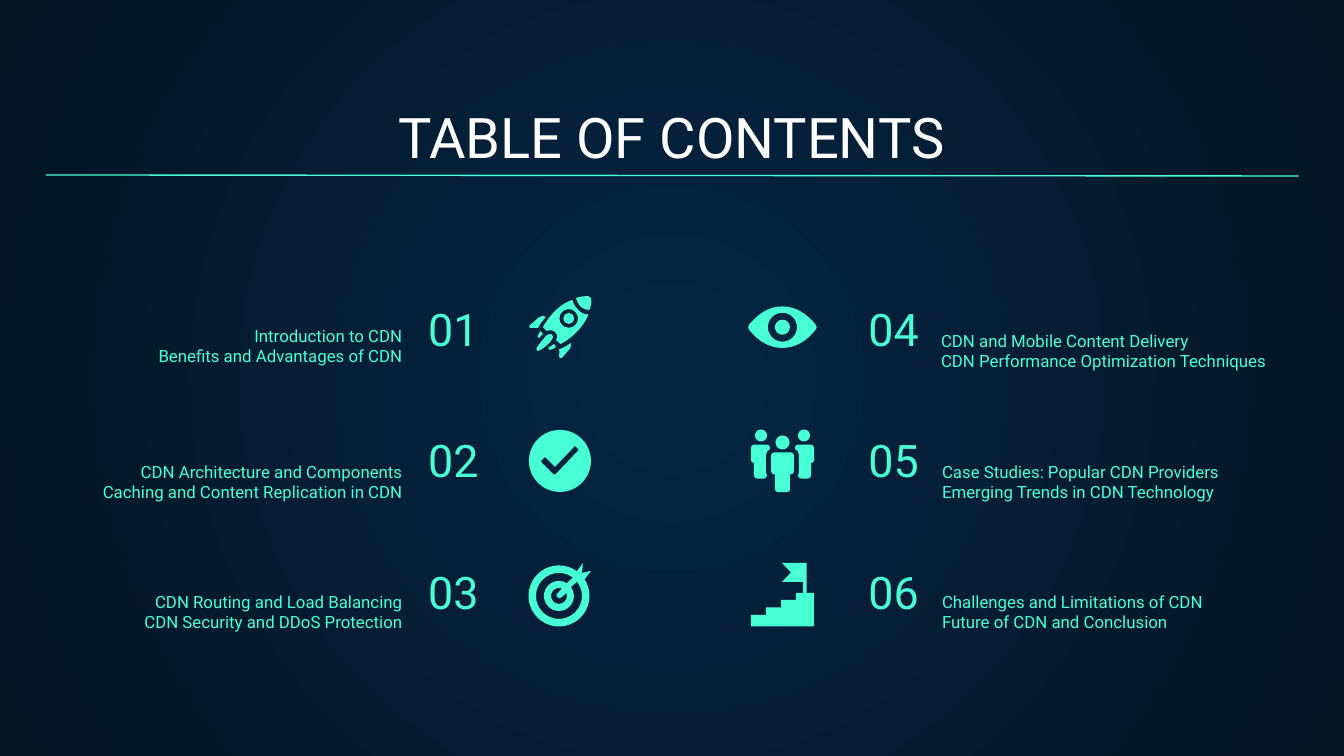
import copy
import math
from dataclasses import dataclass

import pptx
import pptx.dml.color
import pptx.enum.text
import pptx.util
from lxml import etree

UNIT = 914400 / 134.4
FINE = 100
ALIGN = pptx.enum.text.PP_ALIGN
ANCHOR = pptx.enum.text.MSO_ANCHOR
qn = pptx.oxml.ns.qn


@dataclass(frozen=True)
class Theme:
    font: str = "Roboto"
    white: str = "FFFFFF"
    mint: str = "48FFD5"
    glow: str = "052643"
    night: str = "041523"
    head: int = 30
    number: int = 24
    body: int = 9


THEME = Theme()
INSET = pptx.util.Inches(0.1)

# Number, topic box (left, top, width), topics
LEFT = [
    ("01", (107, 312, 295), "Introduction to CDN\nBenefits and Advantages of CDN"),
    ("02", (67, 448, 335), "CDN Architecture and Components\n"
     "Caching and Content Replication in CDN"),
    ("03", (107, 578, 295), "CDN Routing and Load Balancing\n"
     "CDN Security and DDoS Protection"),
]
RIGHT = [
    ("04", (941, 317, 370), "CDN and Mobile Content Delivery\n"
     "CDN Performance Optimization Techniques"),
    ("05", (942, 448, 368), "Case Studies: Popular CDN Providers\n"
     "Emerging Trends in CDN Technology"),
    ("06", (942, 578, 277), "Challenges and Limitations of CDN\n"
     "Future of CDN and Conclusion"),
]


def px(n):
    return pptx.util.Emu(round(n * UNIT))


def rgb(code):
    return pptx.dml.color.RGBColor.from_string(code)


# Text
def write(shape, box, text, size, color, align, anchor, side=INSET):
    shape.left, shape.top, shape.width, shape.height = map(px, box)
    frame = shape.text_frame
    frame.text = text
    frame.word_wrap = True
    frame.auto_size = pptx.enum.text.MSO_AUTO_SIZE.NONE
    frame.vertical_anchor = anchor
    frame.margin_left = frame.margin_right = side
    frame.margin_top = frame.margin_bottom = INSET
    for para in frame.paragraphs:
        para.alignment = align
        para.space_before = pptx.util.Pt(0)
        props = para._p.get_or_add_pPr()
        props.set("marL", "0")
        props.set("indent", "0")
        etree.SubElement(props, qn("a:buNone"))
        for run in para.runs:
            run.font.name = THEME.font
            run.font.size = pptx.util.Pt(size)
            run.font.color.rgb = rgb(color)


def column(slide, items, bodies, left, list_align, num_align):
    for row, (num, (x, y, width), topics) in enumerate(items):
        write(bodies[row], (x, y, width, 74), topics, THEME.body,
              THEME.mint, list_align, ANCHOR.TOP, 0)
        label = slide.shapes.add_textbox(0, 0, 0, 0)
        write(label, (left, 280 + 263 * row // 2, 172, 89), num,
              THEME.number, THEME.mint, num_align, ANCHOR.BOTTOM)


# Outlines: a start point, then lines (2 numbers) and curves (6 numbers)
def arc(x, y, r, start=0, end=360):
    low, high = sorted((start, end))
    turns = [low, *(a for a in range(-450, 451, 90) if low < a < high), high]
    turns = [math.radians(a) for a in (turns if start < end else turns[::-1])]
    spot = [(x + r * math.cos(a), y + r * math.sin(a)) for a in turns]
    loop = [spot[0]]
    for a, b, (ax, ay), (bx, by) in zip(turns, turns[1:], spot, spot[1:]):
        k = r * 4 / 3 * math.tan((b - a) / 4)
        loop.append((ax - k * math.sin(a), ay + k * math.cos(a),
                     bx + k * math.sin(b), by - k * math.cos(b), bx, by))
    return loop


def flip(loop, middle):
    return [tuple(n if i % 2 else 2 * middle - n for i, n in enumerate(step))
            for step in loop]


def bend(path, loops):
    """Join the three lines of each curve step into one Bezier."""
    lines = iter(path.findall(qn("a:lnTo")))
    for loop in loops:
        for step in loop[1:]:
            first = next(lines)
            if len(step) == 6:
                first.tag = qn("a:cubicBezTo")
                for _ in range(2):
                    extra = next(lines)
                    first.append(extra[0])
                    path.remove(extra)


def draw(shapes, *loops):
    fine = [[(step[i] * FINE, step[i + 1] * FINE) for step in loop
             for i in range(0, len(step), 2)] for loop in loops]
    pen = shapes.build_freeform(*fine[0][0], scale=UNIT / FINE)
    for index, points in enumerate(fine):
        if index:
            pen.move_to(*points[0])
        pen.add_line_segments(points[1:], close=False)
    shape = pen.convert_to_shape()
    path = shape.element.xpath(".//a:pathLst/a:path")[0]
    bend(path, loops)
    for move in path.findall(qn("a:moveTo"))[1:]:
        move.addprevious(etree.Element(qn("a:close")))
    etree.SubElement(path, qn("a:close"))
    shape.shadow.inherit = False
    shape.fill.solid()
    shape.fill.fore_color.rgb = rgb(THEME.mint)
    shape.line.fill.background()


# Icons
def rocket(shapes):
    parts = shapes.add_group_shape().shapes
    hole = arc(568.8, 318.5, 9.3)
    draw(parts, [(540, 331), (539, 333, 539, 336, 537.5, 336),
                 (537, 337, 538, 338, 539, 338), (543, 334)])
    draw(parts, [(554, 344), (552, 346, 549, 347, 548, 348), (550, 350),
                 (552, 350, 554, 348, 556, 347)])
    draw(parts, [(551, 334), (549, 334, 547, 335, 546, 336),
                 (540, 343, 538, 346, 536.5, 348.5),
                 (536, 350, 537, 351, 538, 351),
                 (541, 350, 546, 347, 551, 341),
                 (553, 339, 554, 336, 552.5, 335)])
    draw(parts, [(543, 316), (542, 316, 538, 317, 535, 321),
                 (529.5, 325.5), (529, 327, 529, 328, 531, 328),
                 (533, 328, 536, 327.5, 538, 328),
                 (540, 324, 543, 320, 546, 317)])
    draw(parts, [(571, 343), (567, 346, 563, 348, 559, 349.5),
                 (560, 351, 559.5, 352, 559, 356),
                 (559, 358, 560, 359, 562, 358), (567, 352),
                 (571, 349, 571, 346, 571, 343)])
    draw(parts, arc(568.8, 318.5, 5.5))
    draw(parts, [(587, 296), (583, 296, 580, 297, 576, 298),
                 (577, 301, 578, 304, 580.5, 306.5),
                 (583, 309, 586, 310, 589.5, 310),
                 (591, 306, 592, 302, 591, 298),
                 (590, 296.5, 588, 296, 587, 296)])
    draw(parts, [(572.5, 300), (562, 303, 551, 313, 543, 327),
                 (547, 331), (549, 330, 553, 330, 555, 332),
                 (558, 335, 558, 337, 556, 340), (560.5, 344),
                 (571, 339, 583, 328, 588.5, 314.5),
                 (584, 314.5, 581, 313, 578, 309.5),
                 (575, 306.5, 573, 303, 572.5, 300)], hole)


def check(shapes):
    draw(shapes, arc(560, 461, 31),
         [(575, 446), (578, 449), (579, 450, 579, 450, 578, 451),
          (556, 474), (555, 475, 554, 475, 553, 474), (542, 463),
          (541, 461, 541, 461, 542, 460), (544, 458),
          (545, 457, 545, 457, 546, 458), (554, 466),
          (555, 467, 555, 467, 556, 466)])


def target(shapes):
    x, y = 559, 596
    inner = arc(x, y, 15, -397, -58)
    draw(shapes,
         arc(x, y, 30.5, -54, -393) + [(591, 571), (582, 573), (583, 563)],
         arc(x, y, 23, -53, -398) + inner,
         arc(x, y, 8, -68, -382) + [(562, 597), (561, 599, 558, 599, 557, 597),
                                    (556, 596, 556, 594, 558, 593)])


def eye(shapes):
    x, y = 782.5, 327.3
    draw(shapes, [(x, 306.5), (769, 306.5, 758, 314, 749, 325),
                  (748, 327, 748, 328, 749, 329.5),
                  (758, 341, 769, 348, x, 348),
                  (796, 348, 807, 341, 816, 329.5),
                  (817, 328, 817, 327, 816, 325),
                  (807, 314, 796, 306.5, x, 306.5)],
         arc(x, y, 14.5), arc(x, y, 7.5))


def people(shapes):
    parts = shapes.add_group_shape().shapes
    middle = 782.5
    head = arc(761, 435.5, 6)
    torso = [(754, 444.5), (752, 444.5, 751, 446, 751, 448), (751, 460),
             (751, 462, 752, 463, 754, 463), (754, 475),
             (754, 477, 755, 478.5, 757, 478.5), (764, 478.5),
             (766, 478.5, 767, 477, 767, 475),
             (766, 474, 766, 473, 766, 471), (766, 455),
             (766, 452, 768, 450, 770, 449), (770, 448),
             (770, 446, 769, 444.5, 767, 444.5)]
    for side in (head, torso):
        draw(parts, side)
        draw(parts, flip(side, middle))
    draw(parts, [(774, 452.5), (772, 452.5, 771, 454, 771, 456), (771, 471),
                 (771, 473, 772, 474.5, 775, 474.5), (775, 489),
                 (775, 491, 776, 492, 778, 492), (787, 492),
                 (789, 492, 790, 491, 790, 489), (790, 474.5),
                 (793, 474.5, 794, 473, 794, 471), (794, 456),
                 (794, 454, 793, 452.5, 791, 452.5)])
    draw(parts, arc(middle, 442.5, 7))


def stairs(shapes):
    draw(shapes, [(782, 563), (791, 572.5), (782, 582), (803, 582),
                  (803, 593), (796, 593), (796, 600), (781, 600),
                  (781, 607.5), (766, 607.5), (766, 615), (751, 615),
                  (751, 626.5), (814, 626.5), (814, 593), (806.5, 593),
                  (806.5, 563)])


# Page
def layout(deck, count):
    page = deck.slide_layouts[1]
    first = page.placeholders[1].element
    for i in range(20, 19 + count):
        twin = copy.deepcopy(first)
        twin.xpath(".//p:cNvPr")[0].set("id", str(i))
        twin.xpath(".//p:ph")[0].set("idx", str(i))
        first.getparent().append(twin)
    return page


def backdrop(slide):
    fill = slide.background.fill
    fill.gradient()
    for stop, color in zip(fill.gradient_stops, (THEME.glow, THEME.night)):
        stop.color.rgb = rgb(color)
    grad = slide.element.xpath(".//p:bg//a:gradFill")[0]
    for line in grad.xpath("./a:lin"):
        grad.remove(line)
    ray = etree.SubElement(grad, qn("a:path"), {"path": "circle"})
    etree.SubElement(ray, qn("a:fillToRect"), dict.fromkeys("ltrb", "50000"))


def rule(slide):
    line = slide.shapes.add_connector(1, px(46), px(175), px(1299), px(176))
    line.line.color.rgb = rgb(THEME.mint)
    line.line.width = pptx.util.Pt(0.75)
    etree.SubElement(line.element.spPr, qn("a:effectLst"))


def main():
    deck = pptx.Presentation()
    deck.slide_width, deck.slide_height = px(1344), px(756)
    slide = deck.slides.add_slide(layout(deck, len(LEFT + RIGHT)))
    backdrop(slide)
    title, *bodies = slide.placeholders
    write(title, (46, 94, 1251, 89), "TABLE OF CONTENTS", THEME.head,
          THEME.white, ALIGN.CENTER, ANCHOR.BOTTOM)
    column(slide, LEFT, bodies[:3], 415, ALIGN.RIGHT, ALIGN.LEFT)
    column(slide, RIGHT, bodies[3:], 760, ALIGN.LEFT, ALIGN.RIGHT)
    for icon in (target, rocket, check, people, stairs, eye):
        icon(slide.shapes)
    rule(slide)
    deck.save("out.pptx")


main()
